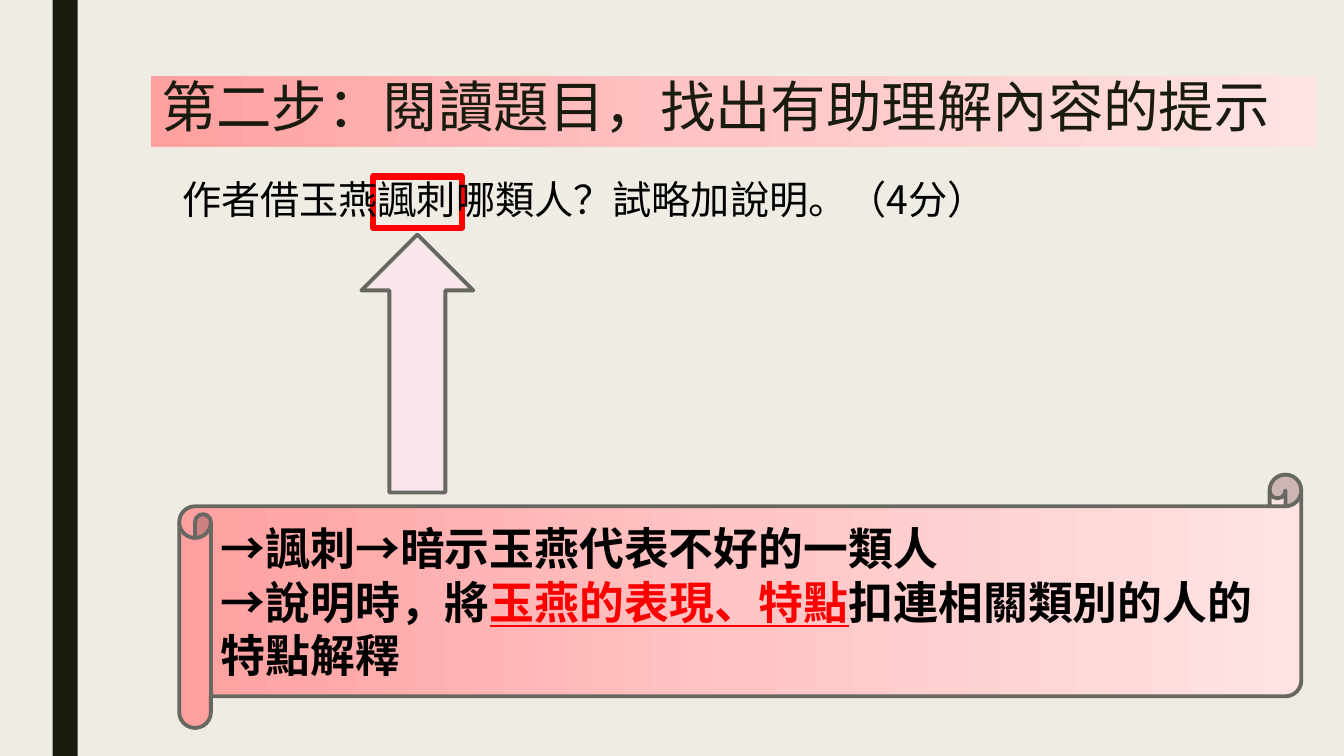
from pptx import Presentation, util as u
from pptx.dml.color import RGBColor
from pptx.enum import shapes, text
from pptx.oxml.ns import qn
from lxml import etree

Pt = u.Pt
CREAM = RGBColor(0xEF, 0xED, 0xE3)
DARK = RGBColor(0x19, 0x1B, 0x0E)
BLACK = RGBColor(0, 0, 0)
RED = RGBColor(0xFF, 0, 0)
GREY = RGBColor(0x68, 0x68, 0x63)
BLUSH = RGBColor(0xF9, 0xE6, 0xEA)
PINKS = [(0, "FFA0A0"), (50000, "FFC5C5"), (100000, "FFE3E3")]
SC, TC = "Noto Sans CJK SC", "Noto Sans CJK TC"
SHAPE = shapes.MSO_SHAPE


def add_box(kind, x, y, w, h, fill=None, line=None, weight=0):
    sp = s.shapes.add_shape(kind, Pt(x), Pt(y), Pt(w), Pt(h))
    sp.shadow.inherit = False
    if fill == PINKS:
        sp.fill.gradient()
        sp.fill.gradient_angle = 0
        stops = sp.fill._fill._gradFill.find(qn("a:gsLst"))
        for old in list(stops):
            stops.remove(old)
        for pos, colour in PINKS:
            stop = etree.SubElement(stops, qn("a:gs"), pos=str(pos))
            etree.SubElement(stop, qn("a:srgbClr"), val=colour)
    elif fill is not None:
        sp.fill.solid()
        sp.fill.fore_color.rgb = fill
    else:
        sp.fill.background()
    if line is not None:
        sp.line.color.rgb = line
        sp.line.width = Pt(weight)
    else:
        sp.line.fill.background()
    return sp


def add_text(sp, paragraphs, size, font, anchor, bold=False):
    tf = sp.text_frame
    tf.word_wrap = True
    tf.vertical_anchor = anchor
    for i, runs in enumerate(paragraphs):
        p = tf.paragraphs[0] if i == 0 else tf.add_paragraph()
        p.alignment = text.PP_ALIGN.LEFT
        for words, colour, underline in runs:
            r = p.add_run()
            r.text = words
            r.font.size = Pt(size)
            r.font.bold = bold
            r.font.underline = underline
            r.font.color.rgb = colour
            r.font.name = font
            etree.SubElement(r._r.get_or_add_rPr(), qn("a:ea"), typeface=font)
    return tf


prs = Presentation()
prs.slide_width, prs.slide_height = Pt(960), Pt(540)
s = prs.slides.add_slide(prs.slide_layouts[6])
s.background.fill.solid()
s.background.fill.fore_color.rgb = CREAM

add_box(SHAPE.RECTANGLE, 37.5, 0, 18, 540, DARK)

title = add_box(SHAPE.RECTANGLE, 108, 54, 833, 51, PINKS)
tf = add_text(title, [[("第二步：閱讀題目，找出有助理解內容的提示", DARK, False)]],
              39.6, SC, text.MSO_ANCHOR.TOP)
tf.paragraphs[0].line_spacing = 0.89

add_box(SHAPE.RECTANGLE, 266.4, 126, 63.4, 36.7, None, RED, 4.5)

arrow = add_box(SHAPE.RIGHT_ARROW, 206, 219.6, 184.3, 80, BLUSH, GREY, 2.75)
arrow.rotation = 270

scroll = add_box(SHAPE.HORIZONTAL_SCROLL, 128, 339, 801.5, 181, PINKS, GREY, 2.75)
add_text(scroll, [
    [("→諷刺→暗示玉燕代表不好的一類人", BLACK, False)],
    [("→說明時，將", BLACK, False),
     ("玉燕的表現、特點", RED, True),
     ("扣連相關類別的人的特點解釋", BLACK, False)],
], 32, SC, text.MSO_ANCHOR.MIDDLE, bold=True)

question = s.shapes.add_textbox(Pt(123), Pt(121.7), Pt(594), Pt(41))
add_text(question, [[("作者借玉燕諷刺哪類人？試略加說明。（4分）", BLACK, False)]],
         28, TC, text.MSO_ANCHOR.TOP)

prs.save("out.pptx")
